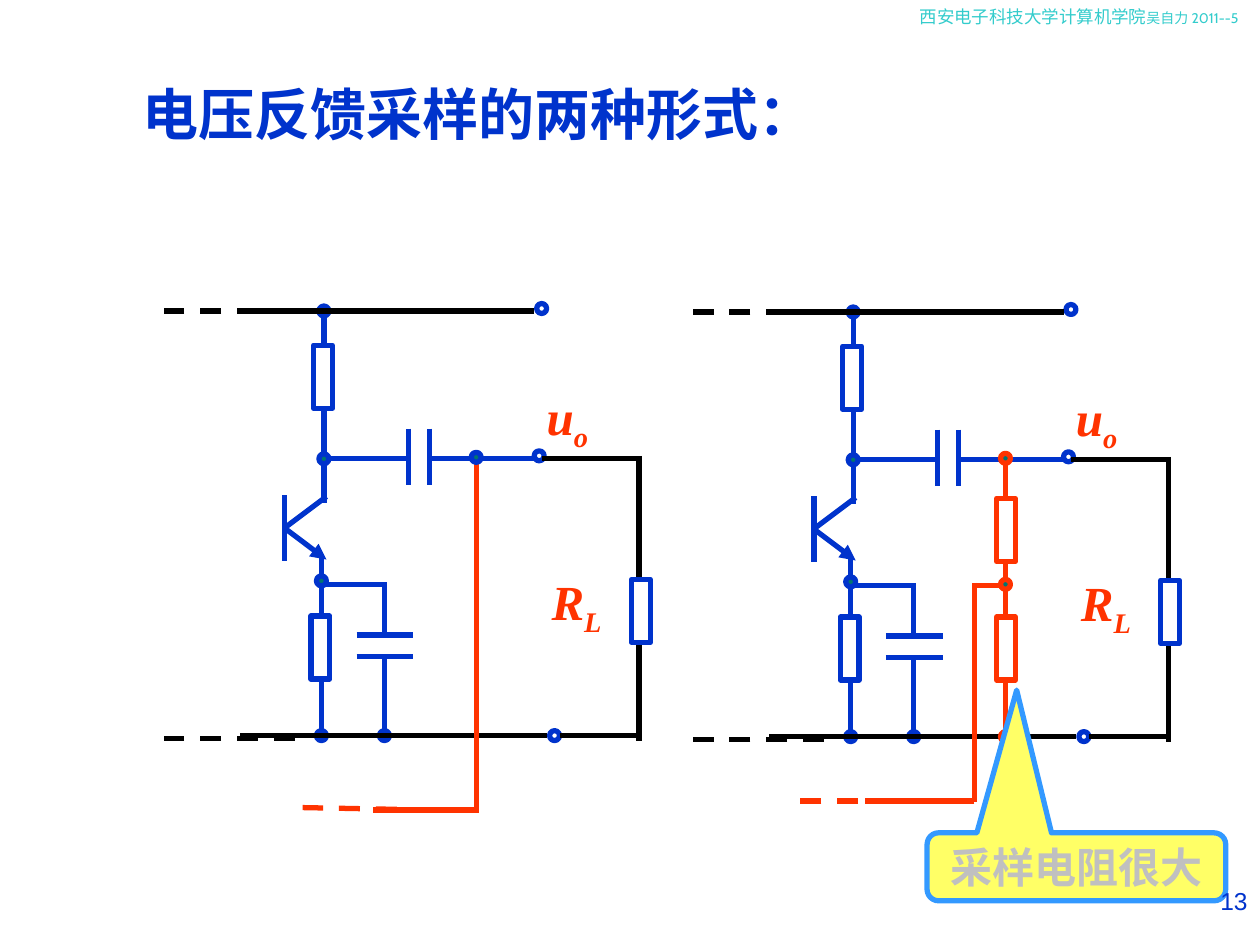
"""Build a slide comparing two ways of sampling voltage feedback."""
import dataclasses

import pptx
import pptx.dml.color
import pptx.enum.dml
import pptx.enum.shapes
import pptx.enum.text
import pptx.oxml.ns
import pptx.util
from lxml import etree

Cm = pptx.util.Cm
Pt = pptx.util.Pt
PRESET = pptx.enum.shapes.MSO_SHAPE
ALIGN = pptx.enum.text.PP_ALIGN


@dataclasses.dataclass(frozen=True)
class Theme:
    blue: str = "0033CC"
    red: str = "FF3300"
    black: str = "000000"
    white: str = "FFFFFF"
    node: str = "007572"
    header: str = "33CCCC"
    callout_fill: str = "FFFF66"
    callout_line: str = "3399FF"
    callout_text: str = "C0C0C0"
    serif: str = "Times New Roman"
    sans: str = "Arial"
    display: str = "Cabin"
    stroke: float = 3
    title: float = 32
    label: float = 28
    callout: float = 24
    number: float = 14
    school: float = 10
    author: float = 8


THEME = Theme()
DOT = 0.2
RESISTOR = (0.38, 1.27)
CIRCUIT_ORIGINS = [(0, 0), (10.67, 0.02)]

AMPLIFIER = [
    ("wire", THEME.blue, (5.74, 9.98, 5.74, 11.3)),
    ("wire", THEME.blue, (5.74, 10.64, 6.58, 10.01)),
    ("arrow", THEME.blue, (5.77, 10.67, 6.58, 11.28)),
    ("wire", THEME.blue, (6.48, 11.25, 6.48, 14.83)),
    ("wire", THEME.blue, (6.53, 10.13, 6.53, 6.27)),
    ("wire", THEME.blue, (6.48, 9.25, 10.77, 9.25)),
    ("node", THEME.blue, (6.48, 14.83)),
    ("node", THEME.blue, (6.53, 9.25)),
    ("node", THEME.blue, (6.53, 6.27)),
    ("terminal", THEME.blue, (10.92, 6.22)),
    ("terminal", THEME.blue, (10.87, 9.19)),
    ("terminal", THEME.blue, (11.18, 14.83)),
    ("resistor", THEME.blue, (6.32, 6.96)),
    ("resistor", THEME.blue, (6.27, 12.42)),
    ("gap", THEME.white, (7.24, 12.83, 1.04, 0.38)),
    ("wire", THEME.blue, (7.19, 13.23, 8.33, 13.23)),
    ("wire", THEME.blue, (7.19, 12.8, 8.33, 12.8)),
    ("gap", THEME.white, (8.28, 8.69, 0.38, 1.04)),
    ("wire", THEME.blue, (8.23, 8.64, 8.23, 9.78)),
    ("wire", THEME.blue, (8.66, 8.64, 8.66, 9.78)),
    ("wire", THEME.blue, (6.48, 11.79, 7.8, 11.79)),
    ("wire", THEME.blue, (7.75, 11.79, 7.75, 12.8)),
    ("wire", THEME.blue, (7.75, 13.21, 7.75, 14.83)),
    ("node", THEME.blue, (6.48, 11.71)),
    ("node", THEME.blue, (7.75, 14.83)),
    ("wire", THEME.black, (11.02, 14.83, 4.83, 14.83)),
    ("wire", THEME.black, (10.77, 6.27, 4.83, 6.27)),
    ("dash", THEME.black, (5.94, 6.27, 3.3, 6.27)),
    ("dash", THEME.black, (5.94, 14.88, 3.3, 14.88)),
    ("wire", THEME.black, (10.92, 9.25, 12.88, 9.25)),
    ("wire", THEME.black, (12.88, 9.19, 12.88, 14.94)),
    ("wire", THEME.black, (11.28, 14.83, 12.88, 14.83)),
    ("resistor", THEME.blue, (12.73, 11.68)),
]
LABELS = [("R", "L", (10.87, 11.4)), ("u", "o", (10.77, 7.67))]
DIRECT_FEEDBACK = [
    ("wire", THEME.red, (9.6, 9.19, 9.6, 16.38)),
    ("wire", THEME.red, (9.6, 16.33, 7.52, 16.33)),
    ("dash", THEME.red, (8.74, 16.33, 6.1, 16.28)),
    ("node", THEME.blue, (9.6, 9.22)),
]
DIVIDER_FEEDBACK = [
    ("wire", THEME.red, (9.6, 9.19, 9.6, 14.78)),
    ("node", THEME.red, (9.6, 9.22)),
    ("node", THEME.red, (9.6, 14.83)),
    ("resistor", THEME.red, (9.42, 10.03)),
    ("resistor", THEME.red, (9.42, 12.42)),
    ("node", THEME.red, (9.6, 11.76)),
    ("wire", THEME.red, (9.47, 11.79, 8.94, 11.79)),
    ("wire", THEME.red, (8.97, 11.73, 8.97, 16.15)),
    ("wire", THEME.red, (8.97, 16.13, 6.76, 16.13)),
    ("dash", THEME.red, (7.37, 16.13, 5.41, 16.13)),
]

HEADER = [("西安电子科技大学计算机学院", THEME.school), ("吴自力 2011--5", THEME.author)]
TITLE = "电压反馈采样的两种形式："
CALLOUT = "采样电阻很大"
SLIDE_NUMBER = "13"


def rgb(color):
    return pptx.dml.color.RGBColor.from_string(color)


def add_run(paragraph, text, size, font, color, bold=False, italic=False):
    run = paragraph.add_run()
    run.text = text
    run.font.size, run.font.name = Pt(size), font
    run.font.bold, run.font.italic = bold, italic
    run.font.color.rgb = rgb(color)
    return run


def add_paragraph(shapes, box, align=ALIGN.LEFT):
    frame = shapes.add_textbox(*map(Cm, box)).text_frame
    frame.word_wrap = True
    frame.paragraphs[0].alignment = align
    return frame.paragraphs[0]


def add_outlined(shapes, preset, box, fill, line):
    outlined = shapes.add_shape(preset, *map(Cm, box))
    outlined.shadow.inherit = False
    if fill:
        outlined.fill.solid()
        outlined.fill.fore_color.rgb = rgb(fill)
    else:
        outlined.fill.background()
    outlined.line.color.rgb = rgb(line)
    outlined.line.width = Pt(THEME.stroke)
    return outlined


def add_wire(shapes, kind, color, ends):
    straight = pptx.enum.shapes.MSO_CONNECTOR.STRAIGHT
    wire = shapes.add_connector(straight, *map(Cm, ends))
    wire.line.color.rgb = rgb(color)
    wire.line.width = Pt(THEME.stroke)
    if kind == "dash":
        wire.line.dash_style = pptx.enum.dml.MSO_LINE.DASH
    qn = pptx.oxml.ns.qn
    if kind == "arrow":
        etree.SubElement(wire.line._get_or_add_ln(), qn("a:tailEnd"), type="triangle")
    etree.SubElement(wire._element.spPr, qn("a:effectLst"))


def add_part(shapes, origin, kind, color, place):
    spot = [value + origin[i % 2] if i < 2 or kind in ("wire", "arrow", "dash") else value
            for i, value in enumerate(place)]
    if kind in ("wire", "arrow", "dash"):
        add_wire(shapes, kind, color, spot)
    elif kind in ("node", "terminal"):
        box = (spot[0] - DOT / 2, spot[1] - DOT / 2, DOT, DOT)
        add_outlined(shapes, PRESET.OVAL, box, THEME.node if kind == "node" else None, color)
    else:
        box = (*spot, *RESISTOR) if kind == "resistor" else spot
        add_outlined(shapes, PRESET.RECTANGLE, box, THEME.white, color)


def add_circuit(slide, origin, feedback):
    shapes = slide.shapes.add_group_shape().shapes
    for part in AMPLIFIER + feedback:
        add_part(shapes, origin, *part)
    for symbol, subscript, (left, top) in LABELS:
        label = add_paragraph(shapes, (left + origin[0], top + origin[1], 3.02, 1.6))
        style = (THEME.label, THEME.serif, THEME.red, True, True)
        add_run(label, symbol, *style)
        lowered = add_run(label, subscript, *style)
        lowered._r.get_or_add_rPr().set("baseline", "-25000")


def main():
    deck = pptx.Presentation()
    deck.slide_width, deck.slide_height = Cm(25.4), Cm(19.05)
    slide = deck.slides.add_slide(deck.slide_layouts[6])

    header = add_paragraph(slide.shapes, (18.29, 0, 7.11, 1.02))
    for text, size in HEADER:
        add_run(header, text, size, THEME.display, THEME.header)
    for origin, feedback in zip(CIRCUIT_ORIGINS, (DIRECT_FEEDBACK, DIVIDER_FEEDBACK)):
        add_circuit(slide, origin, feedback)
    title = add_paragraph(slide.shapes, (2.62, 1.47, 15.34, 1.63))
    add_run(title, TITLE, THEME.title, THEME.serif, THEME.blue, True)

    callout = add_outlined(slide.shapes, PRESET.ROUNDED_RECTANGULAR_CALLOUT,
                           (18.69, 16.79, 6.02, 1.37), THEME.callout_fill, THEME.callout_line)
    for i, value in enumerate((-0.2, -2.6, 0.17)):
        callout.adjustments[i] = value
    callout.text_frame.word_wrap = False
    callout.text_frame.vertical_anchor = pptx.enum.text.MSO_ANCHOR.MIDDLE
    remark = callout.text_frame.paragraphs[0]
    remark.alignment = ALIGN.CENTER
    add_run(remark, CALLOUT, THEME.callout, THEME.serif, THEME.callout_text, True)

    number = add_paragraph(slide.shapes, (19.05, 17.73, 6.35, 1.32), ALIGN.RIGHT)
    add_run(number, SLIDE_NUMBER, THEME.number, THEME.sans, THEME.blue)
    deck.save("out.pptx")


if __name__ == "__main__":
    main()
